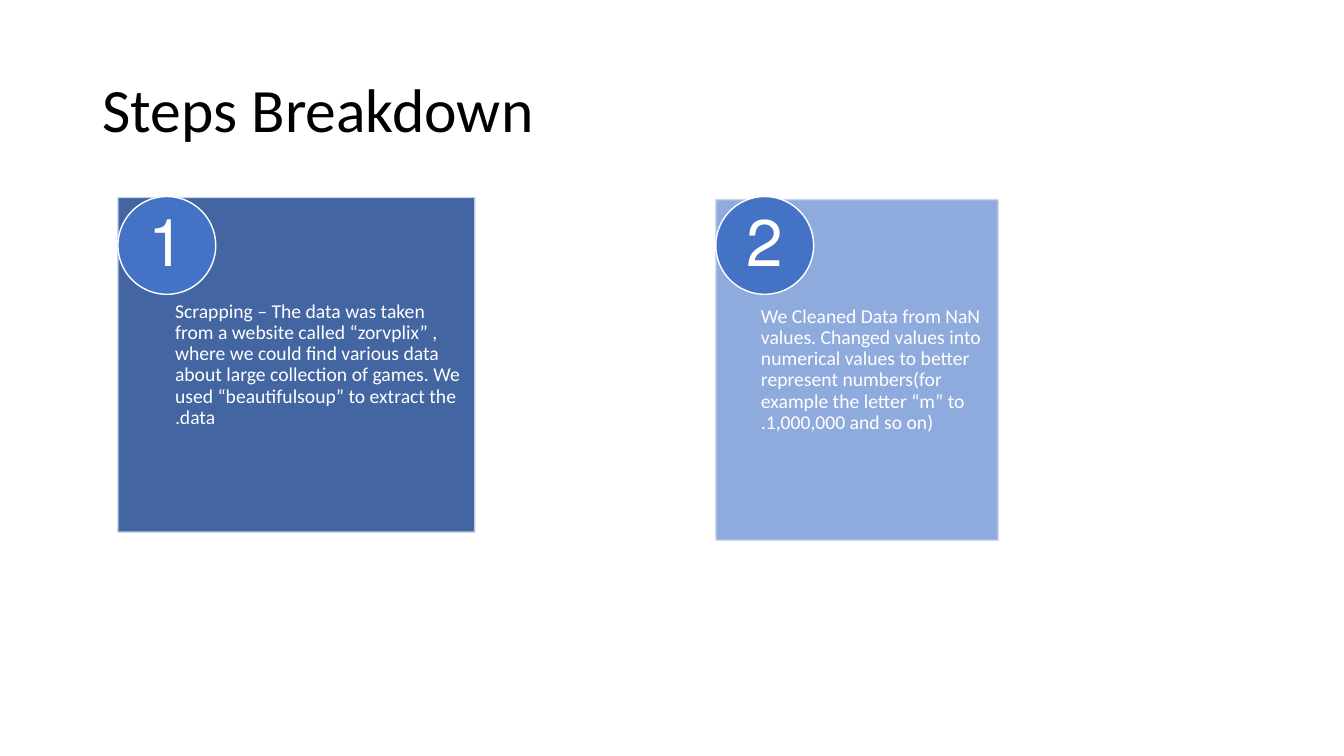
from dataclasses import dataclass

from lxml import etree
from pptx import Presentation
from pptx import util as u
from pptx.dml.color import RGBColor
from pptx.enum import shapes, text
from pptx.oxml.ns import qn


@dataclass(frozen=True)
class Theme:
    """Colours, font and type sizes of the deck."""
    font: str = "Calibri"
    ink: str = "000000"
    pale: str = "FFFFFF"
    badge: str = "4472C4"
    edge: str = "CFD5EA"
    title: int = 44
    body: int = 14
    digit: int = 47


THEME = Theme()
WIDE, HIGH = 13.33, 7.5
LEFT, RIGHT = text.PP_ALIGN.LEFT, text.PP_ALIGN.RIGHT
MID = text.PP_ALIGN.CENTER
STEPS = [
    ((1.17, 1.96, 3.54, 3.32), "2F5597", 90,
     "Scrapping – The data was taken from a website called “zorvplix” , "
     "where we could find various data about large collection of games. "
     "We used “beautifulsoup” to extract the data."),
    ((7.1, 1.98, 2.8, 3.38), "8FAADC", 100,
     "We Cleaned Data from NaN values. Changed values into numerical values "
     "to better represent numbers(for example the letter “m” to 1,000,000 "
     "and so on)."),
]


def fade(fill, share):
    """Make a solid colour opaque by the given percentage."""
    tint = fill._xPr.find(".//" + qn("a:srgbClr"))
    etree.SubElement(tint, qn("a:alpha")).set("val", str(share * 1000))


def shape(slide, kind, box, fill, edge, alpha=100, rim=100):
    """Add a filled shape with a one-point outline."""
    item = slide.shapes.add_shape(kind, *map(u.Inches, box))
    item.shadow.inherit = False
    item.fill.solid()
    item.fill.fore_color.rgb = RGBColor.from_string(fill)
    item.line.width = u.Pt(1)
    item.line.color.rgb = RGBColor.from_string(edge)
    if alpha < 100:
        fade(item.fill, alpha)
    if rim < 100:
        fade(item.line.fill, rim)


def write(slide, box, words, size, tint, pads, align=LEFT):
    """Add a middle-anchored right-to-left paragraph in a box."""
    frame = slide.shapes.add_textbox(*map(u.Inches, box)).text_frame
    frame.word_wrap = True
    frame.vertical_anchor = text.MSO_ANCHOR.MIDDLE
    (frame.margin_left, frame.margin_top,
     frame.margin_right, frame.margin_bottom) = map(u.Inches, pads)
    para = frame.paragraphs[0]
    para.alignment = align
    para.line_spacing = 0.9
    para._p.get_or_add_pPr().set("rtl", "1")
    run = para.add_run()
    run.text = words
    run.font.name = THEME.font
    run.font.size = u.Pt(size)
    run.font.color.rgb = RGBColor.from_string(tint)


def heading(slide, box, words):
    """Place the slide title."""
    write(slide, box, words, THEME.title, THEME.ink, (0.1, 0.05, 0.1, 0.05))


def badge(slide, box, number):
    """Place a round number badge."""
    x, y, w, h = box
    shape(slide, shapes.MSO_SHAPE.OVAL, box, THEME.badge, THEME.pale)
    gap = 0.14
    write(slide, (x + gap, y + gap, w - 2 * gap, h - 2 * gap), str(number),
          THEME.digit, THEME.pale, (0, 0, 0, 0), MID)


def card(slide, box, number, fill, alpha, words):
    """Place one step: panel, indented text and badge."""
    x, y, w, h = box
    shape(slide, shapes.MSO_SHAPE.RECTANGLE, box, fill, THEME.edge, alpha, 90)
    inset = 0.16 * w
    write(slide, (x + inset, y, w - inset, h), words, THEME.body, THEME.pale,
          (0, 0.11, 0.11, 0.11))
    badge(slide, (x, 1.95, 0.97, 0.97), number)


def main():
    """Build and save the deck."""
    deck = Presentation()
    deck.slide_width, deck.slide_height = u.Inches(WIDE), u.Inches(HIGH)
    slide = deck.slides.add_slide(deck.slide_layouts[6])
    heading(slide, (0.92, 0.39, 11.5, 1.45), "Steps Breakdown")
    for number, (box, fill, alpha, words) in enumerate(STEPS, 1):
        card(slide, box, number, fill, alpha, words)
    deck.save("out.pptx")


if __name__ == "__main__":
    main()
